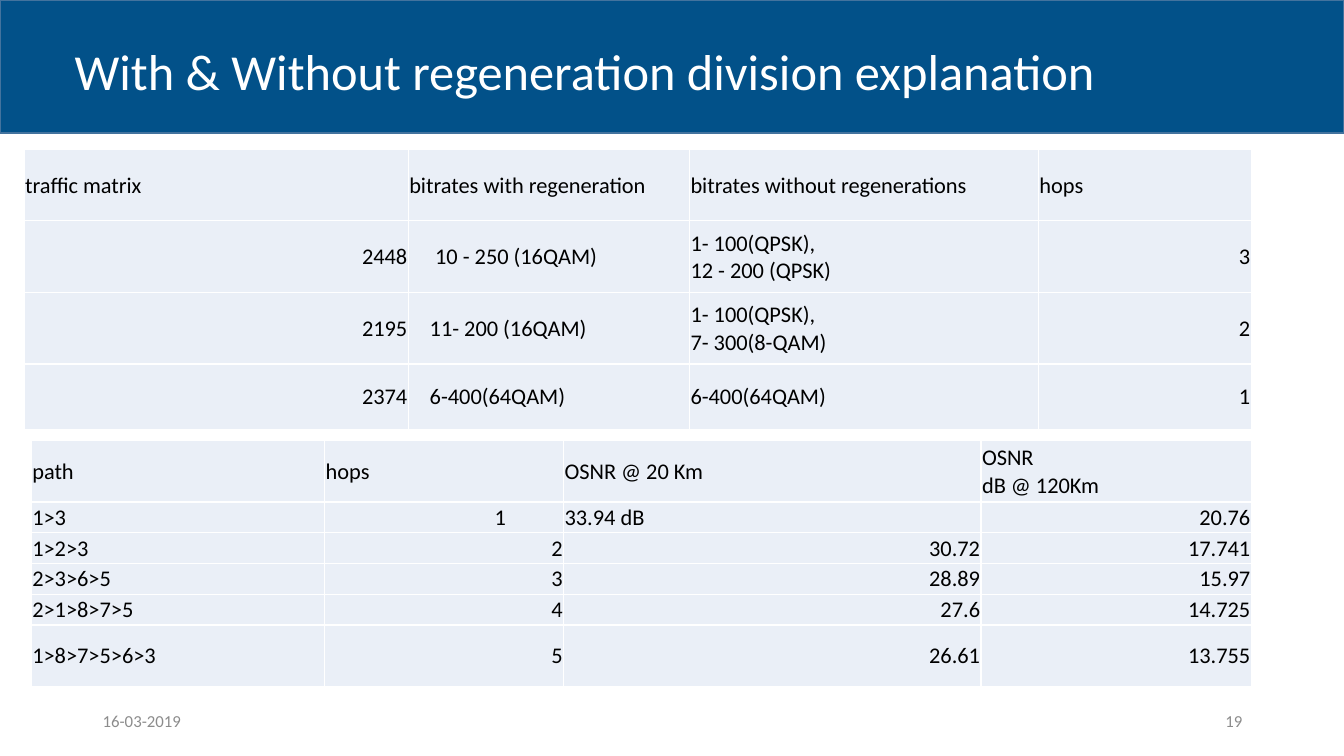
from pptx import Presentation
from pptx.dml.color import RGBColor
from pptx.enum.shapes import MSO_SHAPE as Shape
from pptx.enum.text import MSO_ANCHOR as Anchor, MSO_AUTO_SIZE as AutoSize, PP_ALIGN as Align
from pptx.oxml.ns import qn
from pptx.util import Inches, Pt
from lxml.etree import SubElement

WIDTH, HEIGHT = Inches(13.33), Inches(7.5)
FONT = "Calibri"
WHITE, BLACK, GREY = "FFFFFF", "000000", "8C8C8C"
BAND, BAND_EDGE, CELL = "025189", "43739E", "EAEFF7"

TRAFFIC = [
    ["traffic matrix", "bitrates with regeneration", "bitrates without regenerations", "hops"],
    ["2448", "10 - 250 (16QAM)", "1- 100(QPSK),\n12 - 200 (QPSK)", "3"],
    ["2195", "11- 200 (16QAM)", "1- 100(QPSK),\n7- 300(8-QAM)", "2"],
    ["2374", "6-400(64QAM)", "6-400(64QAM)", "1"],
]
OSNR = [
    ["path", "hops", "OSNR @ 20 Km", "OSNR\ndB @ 120Km"],
    ["1>3", "1", "33.94 dB", "20.76"],
    ["1>2>3", "2", "30.72", "17.741"],
    ["2>3>6>5", "3", "28.89", "15.97"],
    ["2>1>8>7>5", "4", "27.6", "14.725"],
    ["1>8>7>5>6>3", "5", "26.61", "13.755"],
]


def across(percent):
    return round(WIDTH * percent / 100)


def down(percent):
    return round(HEIGHT * percent / 100)


def area(left, top, width, height):
    """Turn percentages of the slide into left, top, width and height."""
    return across(left), down(top), across(width), down(height)


def color(value):
    return RGBColor.from_string(value)


def write(frame, text, size, ink, align=Align.LEFT):
    para = frame.paragraphs[0]
    para.text = text
    para.alignment = align
    for span in para.runs:
        span.font.name, span.font.size, span.font.bold = FONT, Pt(size), False
        span.font.color.rgb = color(ink)


def add_band(page):
    band = page.shapes.add_shape(Shape.RECTANGLE, *area(0, 0, 100, 17.6))
    band.shadow.inherit = False
    band.fill.solid()
    band.fill.fore_color.rgb = color(BAND)
    band.line.color.rgb = color(BAND_EDGE)
    band.line.width = Pt(1)


def set_title(page, text):
    """Format the title placeholder and bring it in front of the band."""
    title = page.shapes.title
    title.left, title.top, title.width, title.height = area(4.8, 4.67, 79.67, 9.47)
    frame = title.text_frame
    frame.word_wrap = True
    frame.auto_size = AutoSize.SHAPE_TO_FIT_TEXT
    frame.vertical_anchor = Anchor.TOP
    write(frame, text, 36, WHITE)
    title.element.getparent().append(title.element)


def add_footer(page, left, text, align):
    frame = page.shapes.add_textbox(*area(left, 92.67, 22.5, 5.33)).text_frame
    frame.word_wrap = True
    frame.vertical_anchor = Anchor.MIDDLE
    write(frame, text, 12, GREY, align)


def add_borders(cell):
    properties = cell._tc.get_or_add_tcPr()
    for side in ("a:lnL", "a:lnR", "a:lnT", "a:lnB"):
        line = SubElement(properties, qn(side), w=str(Pt(1)))
        SubElement(SubElement(line, qn("a:solidFill")), qn("a:srgbClr"), val=WHITE)


def fill_cell(cell, text):
    """Write one cell; plain numbers go to the right."""
    is_number = text.replace(".", "").isdigit()
    add_borders(cell)
    cell.fill.solid()
    cell.fill.fore_color.rgb = color(CELL)
    cell.vertical_anchor = Anchor.MIDDLE
    cell.margin_left = cell.margin_right = cell.margin_top = Inches(0.01)
    cell.margin_bottom = 0
    write(cell.text_frame, text, 16, BLACK, Align.RIGHT if is_number else Align.LEFT)


def add_grid(page, left, top, columns, rows, content):
    frame = page.shapes.add_table(
        len(rows), len(columns), *area(left, top, sum(columns), sum(rows)))
    table = frame.table
    table.first_row = table.horz_banding = False
    for column, share in zip(table.columns, columns):
        column.width = across(share)
    for row, share, texts in zip(table.rows, rows, content):
        row.height = down(share)
        for cell, text in zip(row.cells, texts):
            fill_cell(cell, text)
    return table


def main():
    deck = Presentation()
    deck.slide_width, deck.slide_height = WIDTH, HEIGHT
    page = deck.slides.add_slide(deck.slide_layouts.get_by_name("Title Only"))

    add_band(page)
    add_footer(page, 6.9, "16-03-2019", Align.LEFT)
    add_footer(page, 70.67, "19", Align.RIGHT)

    osnr = add_grid(page, 2.33, 58.27, [21.83, 17.78, 31.06, 20.11],
                    [8.13] + [4.07] * 4 + [8.13], OSNR)
    osnr.cell(1, 1).margin_right = across(4.3)

    traffic = add_grid(page, 1.8, 19.73, [28.58, 20.93, 25.96, 15.83],
                       [9.47] * 3 + [8.67], TRAFFIC)
    for row, indent in enumerate([2, 1.6, 1.6], start=1):
        traffic.cell(row, 1).margin_left = across(indent)

    set_title(page, "With & Without regeneration division explanation")
    deck.save("out.pptx")


if __name__ == "__main__":
    main()
